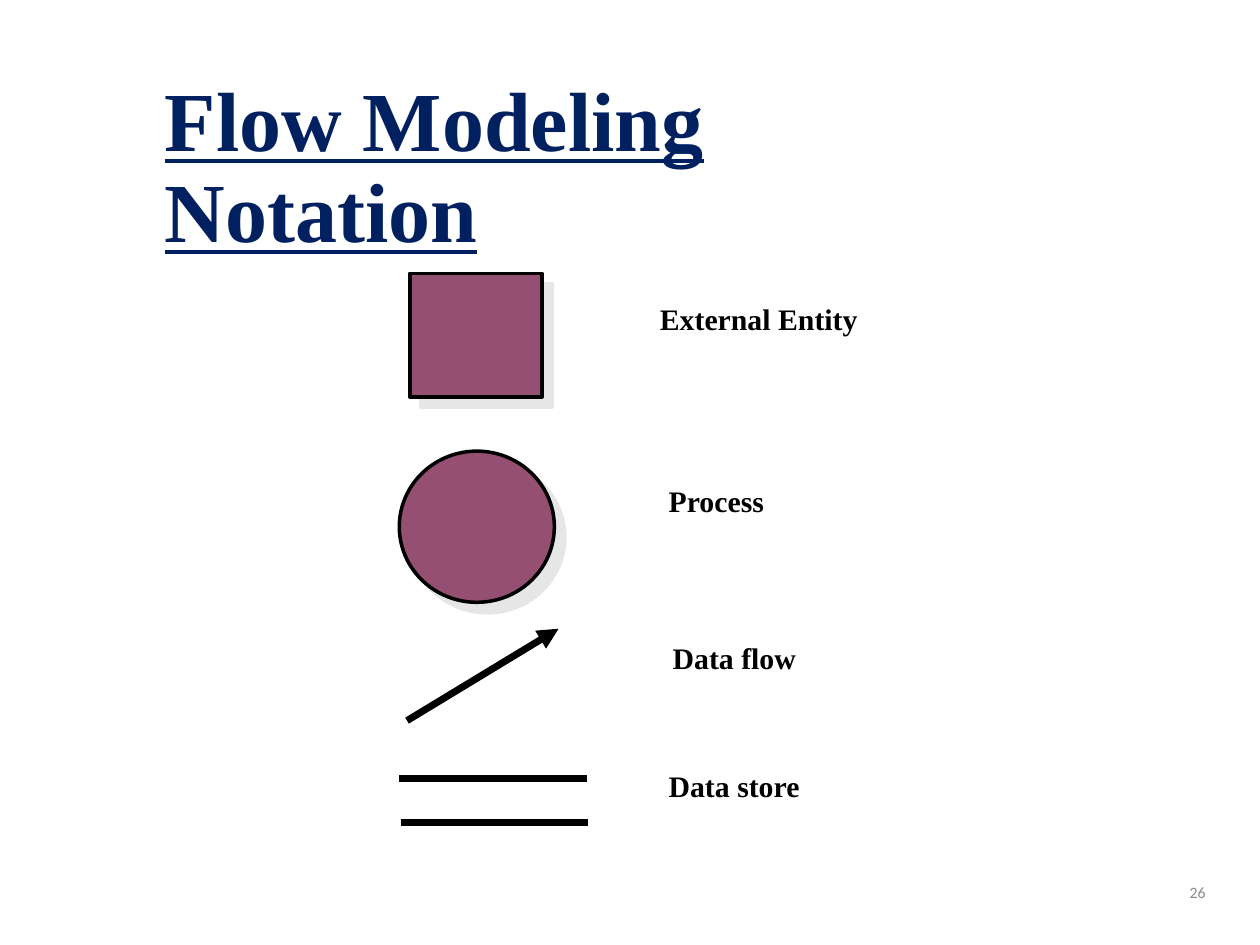
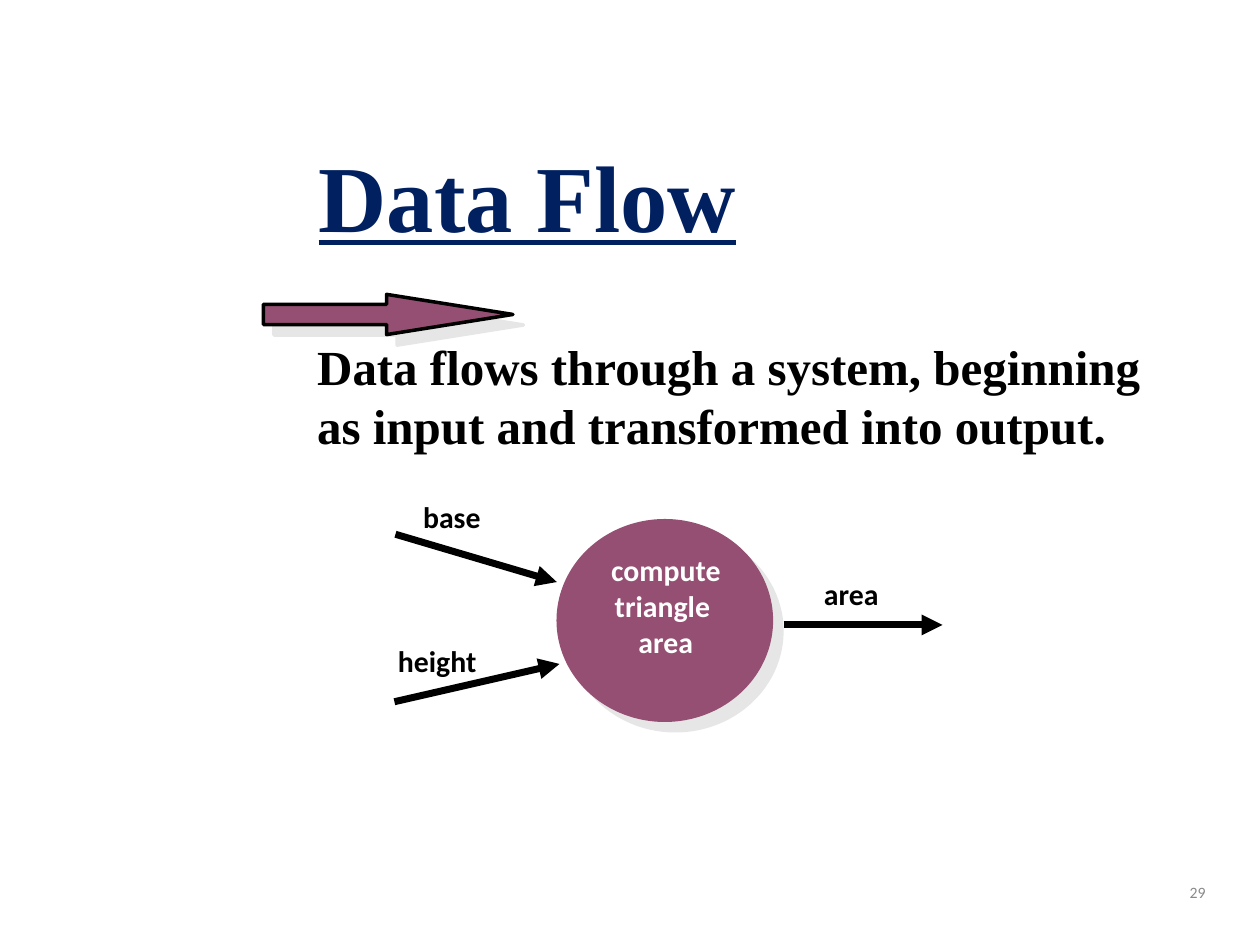
from dataclasses import dataclass

from lxml import etree
from pptx import Presentation
from pptx.dml.color import RGBColor
from pptx.enum.shapes import MSO_CONNECTOR, MSO_SHAPE
from pptx.enum.text import MSO_ANCHOR, MSO_AUTO_SIZE, PP_ALIGN
from pptx.oxml.ns import qn
from pptx.util import Pt

RECT, OVAL, ARROW = MSO_SHAPE.RECTANGLE, MSO_SHAPE.OVAL, MSO_SHAPE.RIGHT_ARROW
STRAIGHT = MSO_CONNECTOR.STRAIGHT
LEFT, CENTER, RIGHT = PP_ALIGN.LEFT, PP_ALIGN.CENTER, PP_ALIGN.RIGHT
TOP, MIDDLE = MSO_ANCHOR.TOP, MSO_ANCHOR.MIDDLE
TITLE_ONLY = 5


@dataclass(frozen=True)
class Theme:
    """Colours, fonts and sizes that the slides share."""
    navy: str = "002060"
    plum: str = "954F72"
    black: str = "000000"
    white: str = "FFFFFF"
    grey: str = "898989"
    shadow: str = "E7E6E6"
    serif: str = "Times New Roman"
    sans: str = "Calibri"
    label: int = 17
    statement: int = 28
    number: int = 9
    outline: int = 2
    flow: int = 4


T = Theme()


def place(box, x, y, w, h):
    """Return a rectangle in slide lengths, offset from the corner of a box."""
    return Pt(box[0] + x), Pt(box[1] + y), Pt(w), Pt(h)


def write(s, lines, size, color, font=T.serif, align=LEFT, anchor=TOP,
          wrap=False, bold=True, underline=None, spacing=None):
    """Fill a shape with one formatted paragraph per line."""
    tf = s.text_frame
    frame = dict(word_wrap=wrap, auto_size=MSO_AUTO_SIZE.NONE, vertical_anchor=anchor)
    for name, value in frame.items():
        setattr(tf, name, value)
    for i, line in enumerate(lines):
        p = tf.add_paragraph() if i else tf.paragraphs[0]
        p.alignment, p.line_spacing = align, spacing
        r = p.add_run()
        r.text = line
        style = dict(name=font, size=Pt(size), bold=bold, underline=underline)
        for name, value in style.items():
            setattr(r.font, name, value)
        r.font.color.rgb = RGBColor.from_string(color)


def add_text(slide, rect, lines, size, color, **style):
    """Add a text box."""
    write(slide.shapes.add_textbox(*rect), lines, size, color, **style)


def add_symbol(slide, kind, rect, outlined=True):
    """Add a plum shape with a hard offset shadow."""
    s = slide.shapes.add_shape(kind, *rect)
    s.fill.solid()
    s.fill.fore_color.rgb = RGBColor.from_string(T.plum)
    if outlined:
        s.line.color.rgb = RGBColor.from_string(T.black)
        s.line.width = Pt(T.outline)
    else:
        s.line.fill.background()
    s.shadow.inherit = False
    effects = s._element.spPr.find(qn("a:effectLst"))
    shadow = etree.SubElement(effects, qn("a:outerShdw"), blurRad="0",
                              dist=str(Pt(8.5)), dir=str(45 * 60000),
                              algn="ctr", rotWithShape="0")
    etree.SubElement(shadow, qn("a:srgbClr"), val=T.shadow)
    return s


def add_flow(slide, box, start, end, head=True):
    """Add a thick line between two points of a box, with an optional arrowhead."""
    x1, y1, x2, y2 = (Pt(a + b) for a, b in zip((*start, *end), box * 2))
    s = slide.shapes.add_connector(STRAIGHT, x1, y1, x2, y2)
    s.line.color.rgb = RGBColor.from_string(T.black)
    s.line.width = Pt(T.flow)
    if head:
        etree.SubElement(s.line._get_or_add_ln(), qn("a:tailEnd"), type="triangle")
    etree.SubElement(s._element.spPr, qn("a:effectLst"))


def add_slide(prs, title, rect, size, align, number):
    """Add a slide with its title and page number."""
    slide = prs.slides.add_slide(prs.slide_layouts[TITLE_ONLY])
    s = slide.shapes.title
    s.left, s.top, s.width, s.height = rect
    write(s, [title], size, T.navy, align=align, anchor=MIDDLE, wrap=True,
          underline=True, spacing=0.9)
    add_text(slide, place((594, 492), 0, 0, 102, 36), [number], T.number, T.grey,
             font=T.sans, align=RIGHT, anchor=MIDDLE, wrap=True, bold=False)
    return slide


def notation_symbols(slide, box):
    """Draw the four notation symbols in a column."""
    add_symbol(slide, RECT, place(box, 6, 0, 75.6, 70.6))
    add_symbol(slide, OVAL, place(box, 0, 101.6, 88.6, 86.4))
    add_flow(slide, box, (4.4, 255.6), (91, 203.1))
    for x, y in ((0, 288.8), (1, 314)):
        add_flow(slide, box, (x, y), (x + 107, y), head=False)


def notation_labels(slide, box):
    """Name each notation symbol."""
    labels = (("External Entity", 0, 0, 127.4), ("Process", 5, 103.7, 69.1),
              ("Data flow", 7.3, 193.7, 85), ("Data store", 5, 266.4, 89.3))
    for name, x, y, w in labels:
        add_text(slide, place(box, x, y, w, 27.4), [name], T.label, T.black)


def triangle_process(slide, box):
    """Draw the triangle process with its inputs and output."""
    add_symbol(slide, OVAL, place(box, 98, 15.6, 123.8, 116), outlined=False)
    add_text(slide, place(box, 122, 30.8, 77, 88.6), ["compute", "triangle ", "area"],
             T.label, T.white, font=T.sans, align=CENTER)
    flows = (("base", (14.7, 0.5, 47.5), (6, 24.3), (98.2, 51.6)),
             ("height", (0.3, 82.6, 59), (5.4, 120), (99.7, 98.4)),
             ("area", (243.7, 44.4, 46), (227.8, 76.1), (318.6, 76.1)))
    for name, (x, y, w), start, end in flows:
        add_flow(slide, box, start, end)
        add_text(slide, place(box, x, y, w, 27.4), [name], T.label, T.black, font=T.sans)


def notation_slide(prs):
    """Build the slide on flow modeling notation."""
    slide = add_slide(prs, "Flow Modeling Notation", place((87, 41), 0, 0, 508.3, 112.3),
                      48, LEFT, "26")
    notation_symbols(slide, (228.2, 156.2))
    notation_labels(slide, (370, 168.5))


def data_flow_slide(prs):
    """Build the slide on data flow."""
    slide = add_slide(prs, "Data Flow", place((96.5, 82), 0, 0, 409.7, 66.2),
                      54, CENTER, "29")
    s = add_symbol(slide, ARROW, place((150.5, 168.2), 0, 0, 142.6, 23))
    s.adjustments[0], s.adjustments[1] = 0.5, 3.14
    add_text(slide, place((174.2, 188.6), 0, 0, 485.3, 74.2),
             ["Data flows through a system, beginning",
              "as input and transformed into output."], T.statement, T.black)
    triangle_process(slide, (220, 281))


def main():
    """Build and save the presentation."""
    prs = Presentation()
    prs.slide_width, prs.slide_height = Pt(720), Pt(540)
    notation_slide(prs)
    data_flow_slide(prs)
    prs.save("out.pptx")


if __name__ == "__main__":
    main()
